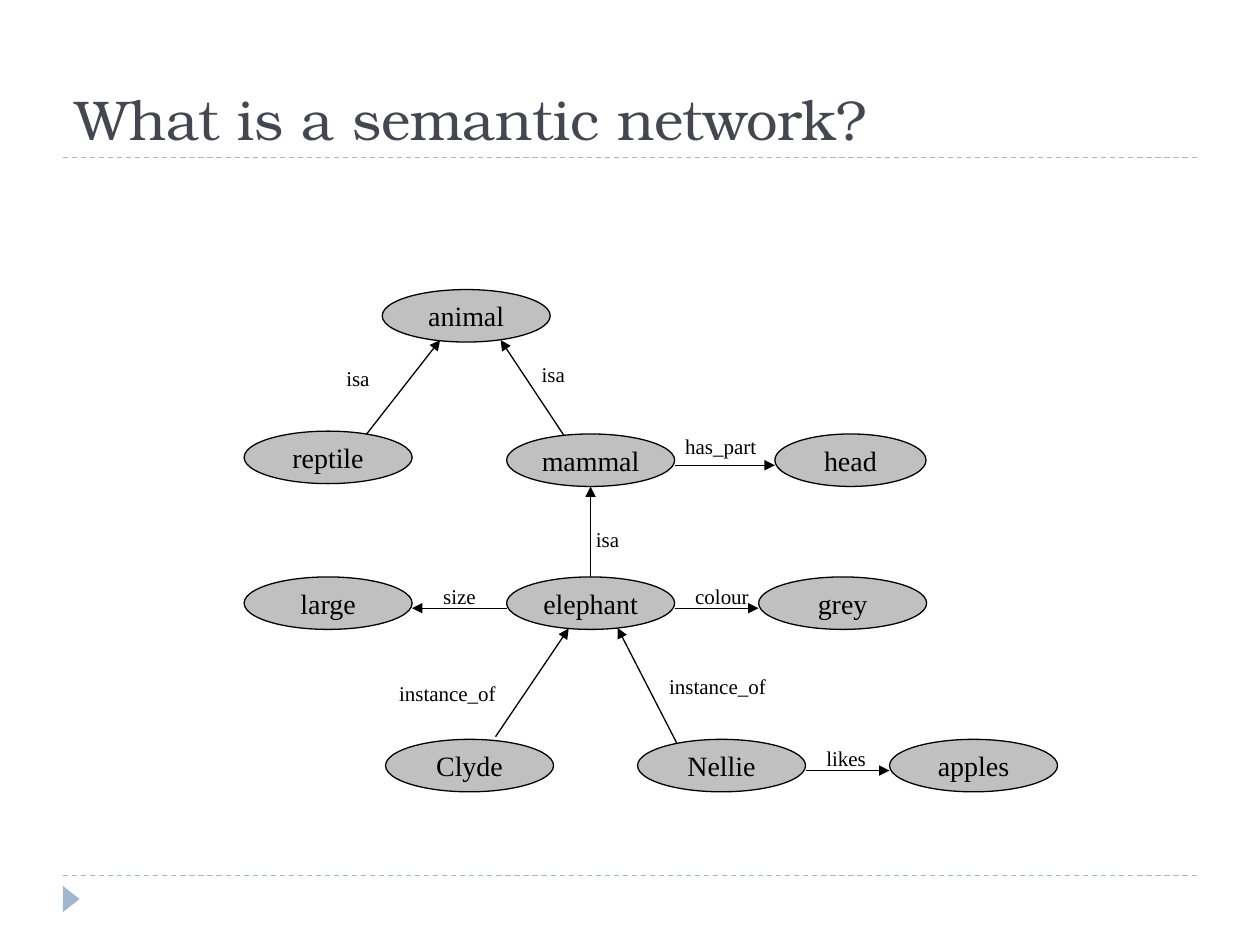
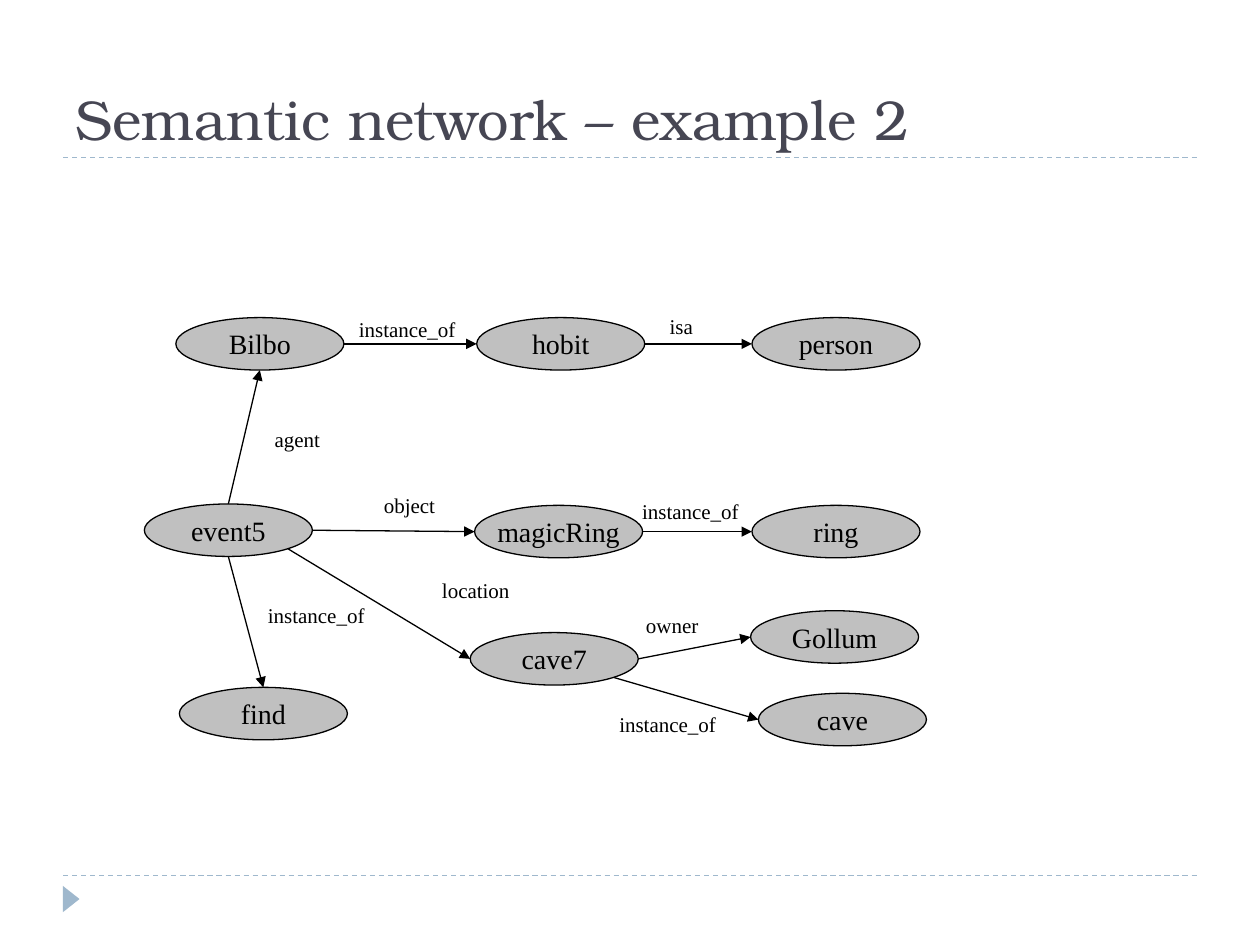
from dataclasses import dataclass
from typing import NamedTuple

from lxml.etree import SubElement
from pptx import Presentation
from pptx.dml.color import RGBColor
from pptx.enum.dml import MSO_LINE
from pptx.enum.shapes import MSO_CONNECTOR, MSO_SHAPE
from pptx.enum.text import MSO_ANCHOR, MSO_AUTO_SIZE, PP_ALIGN
from pptx.oxml.ns import qn
from pptx.util import Pt

# Shared style
INK, GREY, BLUE, SLATE = "000000", "C0C0C0", "9FB8CD", "464653"
SERIF, HEAD = "Times New Roman", "TeX Gyre Bonum"
WIDE, HIGH = 96, 30  # usual node size
WIDTHS = {
    "isa": 28, "has_part": 55.4, "size": 33, "colour": 45.4,
    "likes": 37.4, "instance_of": 70, "agent": 40.3,
    "object": 44, "location": 53.3, "owner": 44.6,
}


class Spot(NamedTuple):
    """Offset from a node's centre, in half widths and half heights."""
    x: float
    y: float


TOP, BASE = Spot(0, -1), Spot(0, 1)
LEFT, RIGHT = Spot(-1, 0), Spot(1, 0)
LOW = Spot(0.71, 0.71)
# Side ends that sit a little below the middle
EAST, WEST = Spot(1, 0.19), Spot(-1, 0.19)


@dataclass
class Node:
    text: str
    x: float
    y: float
    wide: float = WIDE

    def point(self, spot: Spot) -> tuple[float, float]:
        return (self.x + self.wide / 2 * (1 + spot.x),
                self.y + HIGH / 2 * (1 + spot.y))


@dataclass
class Edge:
    start: str
    out: Spot
    end: str
    into: Spot
    label: str
    x: float  # label left
    y: float  # label top


@dataclass
class Net:
    title: str
    nodes: list[Node]
    edges: list[Edge]


def paint(colour: str) -> RGBColor:
    return RGBColor.from_string(colour)


def write(shape, text: str, face: str, size: float, colour: str) -> None:
    para = shape.text_frame.paragraphs[0]
    para.text = text
    para.font.name = face
    para.font.size = Pt(size)
    para.font.color.rgb = paint(colour)


def draw_line(slide, start: tuple, end: tuple, colour: str):
    line = slide.shapes.add_connector(
        MSO_CONNECTOR.STRAIGHT, *(Pt(v) for v in (*start, *end)))
    line.line.color.rgb = paint(colour)
    line.line.width = Pt(0.75)
    return line


def end_line(line) -> None:
    """Leave the line without a shadow."""
    SubElement(line._element.spPr, qn("a:effectLst"))


def draw_rule(slide, y: float) -> None:
    line = draw_line(slide, (36, y), (684, y), BLUE)
    line.line.dash_style = MSO_LINE.DASH
    end_line(line)


def draw_frame(slide, title: str) -> None:
    # Rules and corner mark
    for y in (500.4, 90):
        draw_rule(slide, y)
    mark = slide.shapes.add_shape(
        MSO_SHAPE.ISOSCELES_TRIANGLE, Pt(33.2), Pt(509), Pt(15), Pt(9.5))
    mark.rotation = 90
    mark.shadow.inherit = False
    mark.fill.solid()
    mark.fill.fore_color.rgb = paint(BLUE)
    mark.line.fill.background()
    # Title
    box = slide.shapes.add_textbox(Pt(36), Pt(12), Pt(648), Pt(78))
    box.text_frame.word_wrap = True
    box.text_frame.vertical_anchor = MSO_ANCHOR.BOTTOM
    write(box, title, HEAD, 32, SLATE)


def draw_node(slide, node: Node) -> None:
    oval = slide.shapes.add_shape(
        MSO_SHAPE.OVAL, Pt(node.x), Pt(node.y), Pt(node.wide), Pt(HIGH))
    oval.shadow.inherit = False
    oval.fill.solid()
    oval.fill.fore_color.rgb = paint(GREY)
    oval.line.color.rgb = paint(INK)
    oval.line.width = Pt(0.75)
    frame = oval.text_frame
    frame.word_wrap = False
    frame.vertical_anchor = MSO_ANCHOR.MIDDLE
    write(oval, node.text, SERIF, 16, INK)
    frame.paragraphs[0].alignment = PP_ALIGN.CENTER


def draw_arrow(slide, start: tuple, end: tuple) -> None:
    line = draw_line(slide, start, end, INK)
    SubElement(line.line._get_or_add_ln(), qn("a:tailEnd"), type="triangle")
    end_line(line)


def draw_label(slide, edge: Edge) -> None:
    box = slide.shapes.add_textbox(
        Pt(edge.x), Pt(edge.y), Pt(WIDTHS[edge.label]), Pt(21.6))
    box.text_frame.word_wrap = False
    box.text_frame.auto_size = MSO_AUTO_SIZE.SHAPE_TO_FIT_TEXT
    write(box, edge.label, SERIF, 12, INK)


def draw_net(deck, net: Net) -> None:
    slide = deck.slides.add_slide(deck.slide_layouts[6])
    draw_frame(slide, net.title)
    nodes = {node.text: node for node in net.nodes}
    # Arrows lie under the nodes, labels on top
    for edge in net.edges:
        draw_arrow(slide, nodes[edge.start].point(edge.out),
                   nodes[edge.end].point(edge.into))
    for node in net.nodes:
        draw_node(slide, node)
    for edge in net.edges:
        draw_label(slide, edge)


# Slide 1: animals
ZOO = Net(
    "What is a semantic network?",
    [
        Node("animal", 218.4, 165.5),
        Node("reptile", 139.5, 246.4),
        Node("mammal", 289.5, 248),
        Node("head", 442.8, 248, 86.4),
        Node("large", 139.5, 329.7),
        Node("elephant", 289.5, 329.7),
        Node("grey", 433.5, 329.7),
        Node("Clyde", 220.3, 422.5),
        Node("Nellie", 364.3, 422.5),
        Node("apples", 508.3, 422.5),
    ],
    [
        Edge("reptile", Spot(0.38, -0.57), "animal", Spot(-0.31, 0.92),
             "isa", 190.8, 205.2),
        Edge("mammal", Spot(-0.25, -0.62), "animal", Spot(0.41, 0.92),
             "isa", 302.4, 203),
        Edge("elephant", TOP, "mammal", BASE, "isa", 333.4, 297.4),
        Edge("mammal", EAST, "head", WEST, "has_part", 384.5, 244),
        Edge("elephant", WEST, "large", EAST, "size", 246.2, 329.8),
        Edge("elephant", EAST, "grey", WEST, "colour", 390.2, 329.8),
        Edge("Clyde", Spot(0.31, -1.1), "elephant", Spot(-0.26, 0.96),
             "instance_of", 221, 385.2),
        Edge("Nellie", Spot(-0.52, -0.78), "elephant", Spot(0.32, 0.94),
             "instance_of", 375.3, 381.6),
        Edge("Nellie", EAST, "apples", WEST, "likes", 465.1, 422.6),
    ],
)

# Slide 2: the ring story
TALE = Net(
    "Semantic network – example 2",
    [
        Node("Bilbo", 100.5, 181.5),
        Node("hobit", 272.4, 181.5),
        Node("person", 429.7, 181.5),
        Node("event5", 82.5, 288),
        Node("magicRing", 271.2, 288.8),
        Node("ring", 429.7, 288.8),
        Node("cave7", 268.7, 361.5),
        Node("Gollum", 428.9, 349),
        Node("find", 102.5, 392.8),
        Node("cave", 433.4, 396.2),
    ],
    [
        Edge("Bilbo", RIGHT, "hobit", LEFT, "instance_of", 198, 177.2),
        Edge("hobit", RIGHT, "person", LEFT, "isa", 375.6, 175.6),
        Edge("event5", TOP, "Bilbo", BASE, "agent", 149.8, 240.5),
        Edge("event5", RIGHT, "magicRing", LEFT, "object", 212.3, 278),
        Edge("magicRing", RIGHT, "ring", LEFT, "instance_of", 359.8, 281.5),
        Edge("event5", LOW, "cave7", LEFT, "location", 245.5, 326.2),
        Edge("event5", BASE, "find", TOP, "instance_of", 146, 340.6),
        Edge("cave7", RIGHT, "Gollum", LEFT, "owner", 362, 346.3),
        Edge("cave7", LOW, "cave", LEFT, "instance_of", 346.8, 403.2),
    ],
)

deck = Presentation()
deck.slide_width, deck.slide_height = Pt(720), Pt(540)
for net in (ZOO, TALE):
    draw_net(deck, net)
deck.save("out.pptx")
